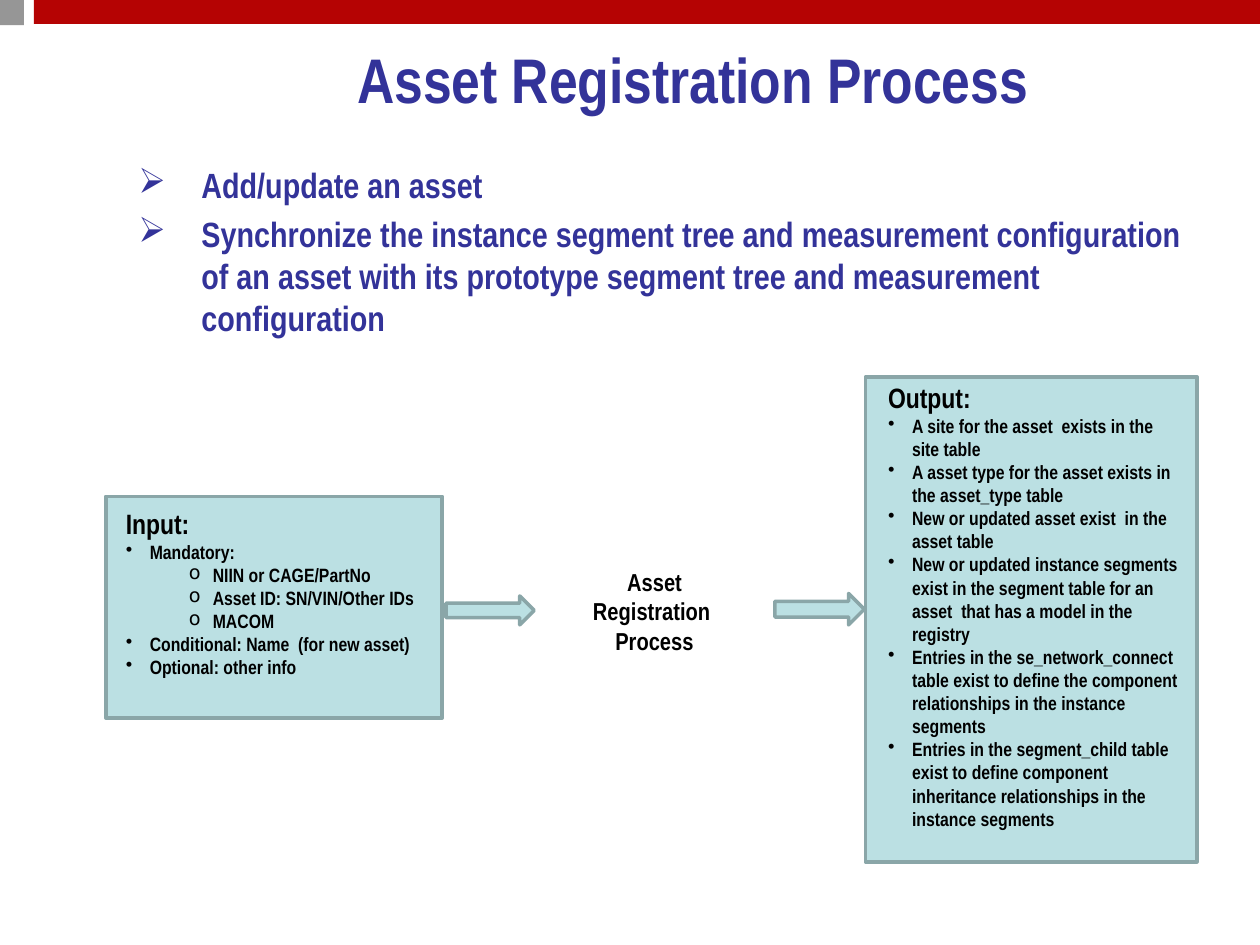
import pptx
import pptx.util
import pptx.dml.color
import pptx.enum.shapes
import pptx.enum.text
import pptx.oxml.ns
import lxml.etree

Inches = pptx.util.Inches
Pt = pptx.util.Pt
SHAPE = pptx.enum.shapes.MSO_SHAPE
ALIGN = pptx.enum.text.PP_ALIGN
ANCHOR = pptx.enum.text.MSO_ANCHOR

COLOURS = {"red": "B50303", "grey": "969696", "navy": "333399",
           "panel": "BBE0E3", "edge": "8AA6A8", "black": "000000"}

LEVELS = {
    "title": {"size": 36, "colour": "navy", "align": ALIGN.CENTER},
    "point": {"size": 20, "colour": "navy", "bullet": "➢", "margin": 0.5, "hang": 0.5, "before": 4},
    "heading": {"size": 16},
    "item": {"size": 11, "bullet": "•", "margin": 0.19, "hang": 0.19},
    "subitem": {"size": 11, "bullet": "o", "margin": 0.69, "hang": 0.19, "level": 1},
    "process": {"size": 14, "align": ALIGN.CENTER},
}

BANDS = [
    (SHAPE.RECTANGLE, (0.27, 0, 9.73, 0.19), "red", None),
    (SHAPE.RECTANGLE, (-0.01, 0, 0.2, 0.2), "grey", None),
]
FLOW = [
    (SHAPE.RECTANGLE, (0.84, 3.94, 2.67, 1.76), "panel", "edge"),
    (SHAPE.RECTANGLE, (6.87, 2.99, 2.63, 3.85), "panel", "edge"),
    (SHAPE.RIGHT_ARROW, (3.54, 4.73, 0.7, 0.23), "panel", "edge"),
    (SHAPE.RIGHT_ARROW, (6.15, 4.71, 0.71, 0.25), "panel", "edge"),
]

TEXTS = [
    ((1.25, 0.33, 8.5, 0.59), ANCHOR.MIDDLE, [("title", "Asset Registration Process")]),
    ((1, 1.25, 8.75, 1.33), ANCHOR.TOP, [
        ("point", "Add/update an asset"),
        ("point", "Synchronize the instance segment tree and measurement configuration "
                  "of an asset with its prototype segment tree and measurement configuration"),
    ]),
    ((0.9, 3.97, 2.61, 1.48), ANCHOR.TOP, [
        ("heading", "Input:"),
        ("item", "Mandatory:"),
        ("subitem", "NIIN or CAGE/PartNo"),
        ("subitem", "Asset ID: SN/VIN/Other IDs"),
        ("subitem", "MACOM"),
        ("item", "Conditional: Name  (for new asset)"),
        ("item", "Optional: other info"),
    ]),
    ((6.95, 2.97, 2.55, 3.7), ANCHOR.TOP, [
        ("heading", "Output:"),
        ("item", "A site for the asset  exists in the site table"),
        ("item", "A asset type for the asset exists in the asset_type table"),
        ("item", "New or updated asset exist  in the asset table"),
        ("item", "New or updated instance segments exist in the segment table "
                 "for an asset  that has a model in the registry"),
        ("item", "Entries in the se_network_connect table exist to define "
                 "the component relationships in the instance segments"),
        ("item", "Entries in the segment_child table exist to define "
                 "component inheritance relationships in the instance segments"),
    ]),
    ((4.48, 4.45, 1.43, 0.81), ANCHOR.TOP, [("process", "Asset Registration  Process")]),
]


def rgb(name):
    return pptx.dml.color.RGBColor.from_string(COLOURS[name])


def place(box):
    return [Inches(length) for length in box]


def add_block(slide, kind, box, fill, edge):
    block = slide.shapes.add_shape(kind, *place(box))
    block.shadow.inherit = False
    block.fill.solid()
    block.fill.fore_color.rgb = rgb(fill)
    if edge:
        block.line.color.rgb = rgb(edge)
        block.line.width = Pt(2)
    else:
        block.line.fill.background()


def add_bullet(paragraph, level):
    properties = paragraph._p.get_or_add_pPr()
    properties.set("marL", str(Inches(level["margin"])))
    properties.set("indent", str(-Inches(level["hang"])))
    bullet = lxml.etree.SubElement(properties, pptx.oxml.ns.qn("a:buChar"))
    bullet.set("char", level["bullet"])


def add_text(slide, box, anchor, lines):
    frame = slide.shapes.add_textbox(*place(box)).text_frame
    frame.word_wrap = True
    frame.vertical_anchor = anchor
    for index, (kind, words) in enumerate(lines):
        level = LEVELS[kind]
        paragraph = frame.add_paragraph() if index else frame.paragraphs[0]
        if "bullet" in level:
            add_bullet(paragraph, level)
        paragraph.level = level.get("level", 0)
        paragraph.alignment = level.get("align", ALIGN.LEFT)
        paragraph.space_before = Pt(level.get("before", 0) if index else 0)
        run = paragraph.add_run()
        run.text = words
        font_format = {"name": "Arial Narrow", "size": Pt(level["size"]), "bold": True}
        for attribute, value in font_format.items():
            setattr(run.font, attribute, value)
        run.font.color.rgb = rgb(level.get("colour", "black"))


def main():
    deck = pptx.Presentation()
    deck.slide_width, deck.slide_height = Inches(10), Inches(7.5)
    slide = deck.slides.add_slide(deck.slide_layouts[6])
    for block in BANDS + FLOW:
        add_block(slide, *block)
    for text in TEXTS:
        add_text(slide, *text)
    deck.save("out.pptx")


if __name__ == "__main__":
    main()
